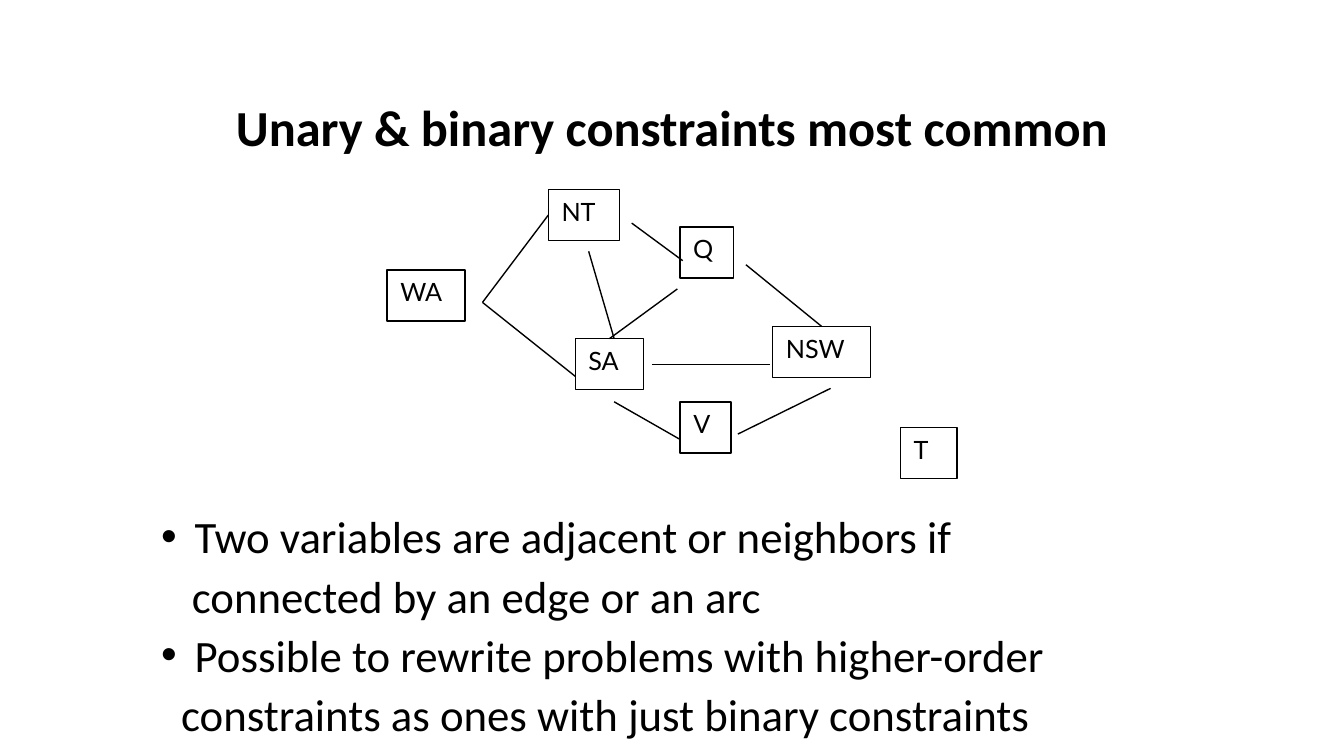
from dataclasses import dataclass
from typing import Optional

from lxml import etree
from pptx import Presentation
from pptx.dml.color import RGBColor
from pptx.enum import shapes, text
from pptx.oxml.ns import qn
from pptx.util import Emu, Inches, Pt

BLACK = RGBColor(0, 0, 0)
COLUMNS, ROWS = 100, 56.25
WIDTH = Inches(10)
HEIGHT = Emu(WIDTH * 9 // 16)
TOP, LEFT = 0, 1
NODE_ROWS = 3.8


@dataclass
class Region:
    name: str
    column: float
    row: float
    columns: float


@dataclass
class Edge:
    start: tuple[float, float]
    end: tuple[float, float]
    joins: Optional[str] = None
    side: int = TOP


@dataclass
class Line:
    wording: str
    indent: float = 0.25
    bullet: bool = False


REGIONS = [
    Region("T", 67, 31.8, 4.2),
    Region("WA", 28.8, 20.1, 5.8),
    Region("NT", 40.8, 14.1, 5.3),
    Region("SA", 42.8, 25.2, 5.1),
    Region("Q", 50.6, 16.9, 4),
    Region("NSW", 57.5, 24.3, 7.3),
    Region("V", 50.6, 29.9, 3.8),
]
EDGES = [
    Edge((35.9, 22.5), (40.8, 16), "NT", LEFT),
    Edge((35.9, 22.5), (42.8, 28)),
    Edge((43.8, 18.7), (45.7, 25.2)),
    Edge((45.7, 29.9), (50.6, 32.7)),
    Edge((55.5, 19.7), (61.4, 24.3), "NSW", TOP),
    Edge((47, 16.6), (50.8, 19.4)),
    Edge((54.9, 32.3), (61.8, 28.9)),
    Edge((50.4, 21.5), (45.5, 25.2), "SA", TOP),
    Edge((48.5, 27.1), (57.3, 27.1)),
]
POINTS = [
    Line("Two variables are adjacent or neighbors if", bullet=True),
    Line("connected by an edge or an arc", indent=0.23),
    Line("Possible to rewrite problems with higher-order", bullet=True),
    Line("constraints as ones with just binary constraints", indent=0.15),
]


def x(column: float) -> Emu:
    return Emu(round(WIDTH * column / COLUMNS))


def y(row: float) -> Emu:
    return Emu(round(HEIGHT * row / ROWS))


def write(paragraph, wording: str, *, size: float, font: str = "Calibri",
          bold: bool = False, align=text.PP_ALIGN.LEFT) -> None:
    paragraph.text = wording
    paragraph.alignment = align
    paragraph.font.size = Pt(size)
    paragraph.font.name = font
    paragraph.font.bold = bold
    paragraph.font.color.rgb = BLACK


def add_box(slide, column: float, row: float, columns: float, rows: float,
            anchor=text.MSO_ANCHOR.TOP):
    frame = slide.shapes.add_textbox(x(column), y(row), x(columns), y(rows)).text_frame
    frame.word_wrap = True
    frame.vertical_anchor = anchor
    return frame


def draw_region(slide, region: Region):
    node = slide.shapes.add_shape(
        shapes.MSO_SHAPE.RECTANGLE,
        x(region.column), y(region.row), x(region.columns), y(NODE_ROWS))
    node.shadow.inherit = False
    node.fill.background()
    node.line.color.rgb = BLACK
    node.line.width = Pt(0.75)
    node.text_frame.word_wrap = True
    node.text_frame.vertical_anchor = text.MSO_ANCHOR.TOP
    write(node.text_frame.paragraphs[0], region.name, size=13.5, font="Lato")
    return node


def draw_edge(slide, edge: Edge, nodes: dict) -> None:
    arc = slide.shapes.add_connector(
        shapes.MSO_CONNECTOR.STRAIGHT,
        x(edge.start[0]), y(edge.start[1]), x(edge.end[0]), y(edge.end[1]))
    arc.line.color.rgb = BLACK
    arc.line.width = Pt(0.75)
    etree.SubElement(arc._element.spPr, qn("a:effectLst"))
    if edge.joins:
        arc.end_connect(nodes[edge.joins], edge.side)


def draw_points(slide, lines: list[Line]) -> None:
    frame = add_box(slide, 11, 37, 79.5, 18.6)
    for number, line in enumerate(lines):
        paragraph = frame.add_paragraph() if number else frame.paragraphs[0]
        properties = paragraph._p.get_or_add_pPr()
        properties.set("marL", str(Inches(line.indent)))
        if line.bullet:
            properties.set("indent", str(-Inches(line.indent)))
            etree.SubElement(properties, qn("a:buFont"), typeface="Arial")
            etree.SubElement(properties, qn("a:buChar"), char="•")
        paragraph.line_spacing = 1.1
        write(paragraph, line.wording, size=24)


def main() -> None:
    deck = Presentation()
    deck.slide_width, deck.slide_height = WIDTH, HEIGHT
    slide = deck.slides.add_slide(deck.slide_layouts[6])
    title = add_box(slide, 12.5, 4.7, 75, 9.4, text.MSO_ANCHOR.MIDDLE)
    write(title.paragraphs[0], "Unary & binary constraints most common",
          size=27, bold=True, align=text.PP_ALIGN.CENTER)
    nodes = {region.name: draw_region(slide, region) for region in REGIONS}
    for edge in EDGES:
        draw_edge(slide, edge, nodes)
    draw_points(slide, POINTS)
    deck.save("out.pptx")


if __name__ == "__main__":
    main()
